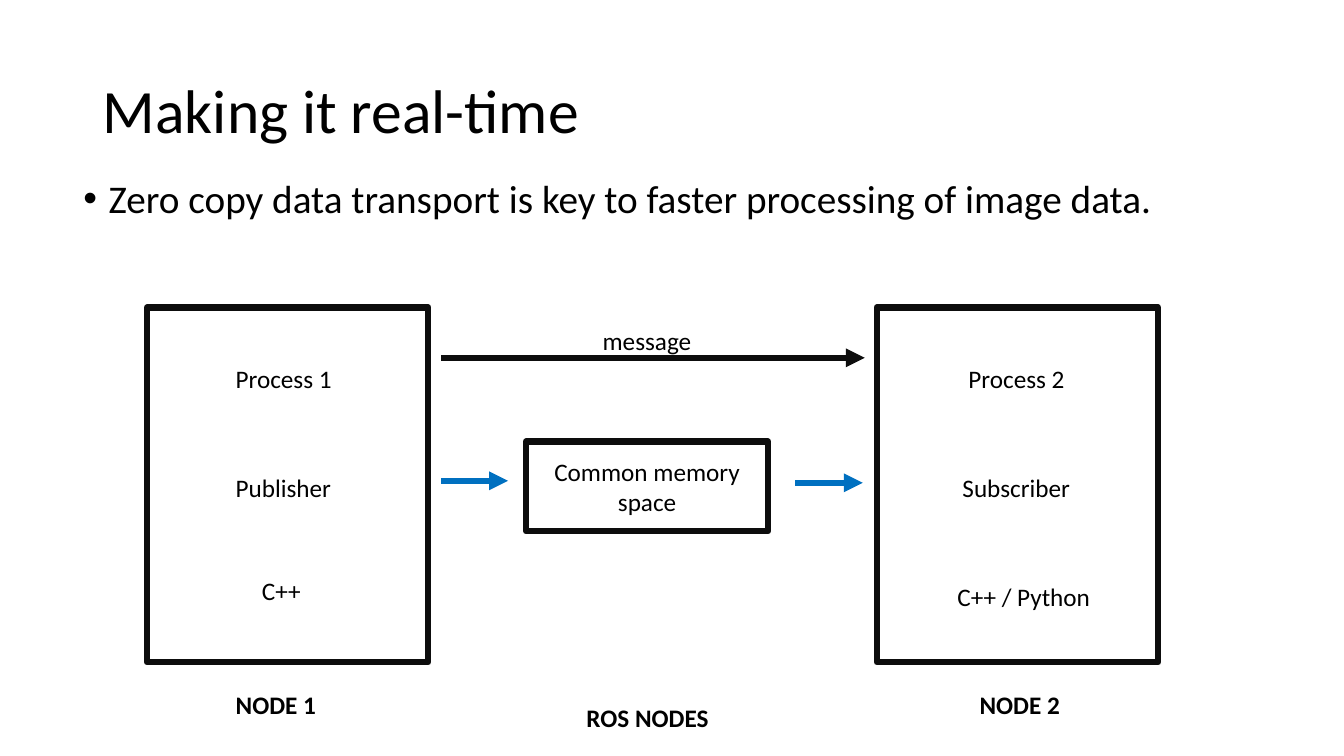
from lxml import etree
from pptx import Presentation
from pptx import util as u
from pptx.dml.color import RGBColor
from pptx.enum import shapes as sh, text as tx
from pptx.oxml.ns import qn

COLS, ROWS = 40, 22.5
CELL = u.Inches(13.333) / COLS  # square grid cell
INK = {"text": "000000", "frame": "0D0D0D", "copy": "0070C0"}
FONT = "Calibri"
NODE_TOP, NODE_W, NODE_H = 9.15, 8.37, 10.56

# Left, top, width in cells, then wording
LABELS = [
    (6.72, 10.68, 3.48, "Process 1"),
    (6.72, 13.92, 3.48, "Publisher"),
    (7.5, 16.98, 1.77, "C++"),
    (28.53, 10.68, 3.48, "Process 2"),
    (28.35, 13.92, 3.84, "Subscriber"),
    (28.2, 17.16, 4.62, "C++ / Python"),
    (17.64, 9.54, 3.27, "message"),
]
CAPTIONS = [
    (6.72, 20.37, 3.03, "NODE 1"),
    (28.86, 20.37, 3.03, "NODE 2"),
    (17.16, 20.76, 4.26, "ROS NODES"),
]


def grid(*vals):
    return [u.Emu(round(v * CELL)) for v in vals]


def color(name):
    return RGBColor.from_string(INK[name])


def style(par, size, bold=False):
    font = par.font
    font.name, font.size, font.bold = FONT, u.Pt(size), bold
    font.color.rgb = color("text")


def title(slide, words):
    box = slide.shapes.title
    box.left, box.top, box.width, box.height = grid(2.76, 1.2, 34.5, 4.35)
    frame = box.text_frame
    frame.text = words
    frame.vertical_anchor = tx.MSO_ANCHOR.MIDDLE
    par = frame.paragraphs[0]
    par.alignment = tx.PP_ALIGN.LEFT
    par.line_spacing = 0.9
    style(par, 44)


def bullet(slide, words):
    frame = slide.shapes.add_textbox(*grid(2.19, 5.19, 34.5, 14.28)).text_frame
    frame.word_wrap = True
    frame.text = words
    par = frame.paragraphs[0]
    par.line_spacing = 0.9
    props = par._p.get_or_add_pPr()
    props.set("marL", str(u.Inches(0.25)))
    props.set("indent", str(-u.Inches(0.25)))
    etree.SubElement(props, qn("a:buFont"), typeface="Arial")
    etree.SubElement(props, qn("a:buChar"), char="•")
    style(par, 28)


def label(slide, left, top, width, words, bold=False):
    frame = slide.shapes.add_textbox(*grid(left, top, width, 1.2)).text_frame
    frame.word_wrap = False
    frame.text = words
    style(frame.paragraphs[0], 18, bold)


def box(slide, left, top, width, height, words=""):
    rect = slide.shapes.add_shape(
        sh.MSO_SHAPE.RECTANGLE, *grid(left, top, width, height))
    rect.shadow.inherit = False
    rect.fill.background()
    rect.line.color.rgb = color("frame")
    rect.line.width = u.Pt(4.5)
    if words:
        frame = rect.text_frame
        frame.text = words
        frame.word_wrap = False
        frame.vertical_anchor = tx.MSO_ANCHOR.MIDDLE
        for par in frame.paragraphs:
            par.alignment = tx.PP_ALIGN.CENTER
            style(par, 18)


def arrow(slide, start, end, row, ink):
    line = slide.shapes.add_connector(
        sh.MSO_CONNECTOR.STRAIGHT, *grid(start, row, end, row))
    line.line.color.rgb = color(ink)
    line.line.width = u.Pt(4.5)
    etree.SubElement(line.line._get_or_add_ln(), qn("a:tailEnd"), type="triangle")
    etree.SubElement(line._element.spPr, qn("a:effectLst"))


def main():
    deck = Presentation()
    deck.slide_width, deck.slide_height = grid(COLS, ROWS)
    slide = deck.slides.add_slide(deck.slide_layouts[5])

    # Heading
    title(slide, "Making it real-time")
    bullet(slide, "Zero copy data transport is key to faster processing of image data.")

    # Nodes and shared memory
    for left in (4.38, 26.1):
        box(slide, left, NODE_TOP, NODE_W, NODE_H)
    box(slide, 15.66, 13.14, 7.2, 2.67, "Common memory\nspace")

    # Data flow
    arrow(slide, 13.14, 25.74, 10.65, "frame")
    arrow(slide, 13.14, 15.12, 14.31, "copy")
    arrow(slide, 23.67, 25.68, 14.37, "copy")

    # Wording
    for item in LABELS:
        label(slide, *item)
    for item in CAPTIONS:
        label(slide, *item, bold=True)

    deck.save("out.pptx")


if __name__ == "__main__":
    main()
